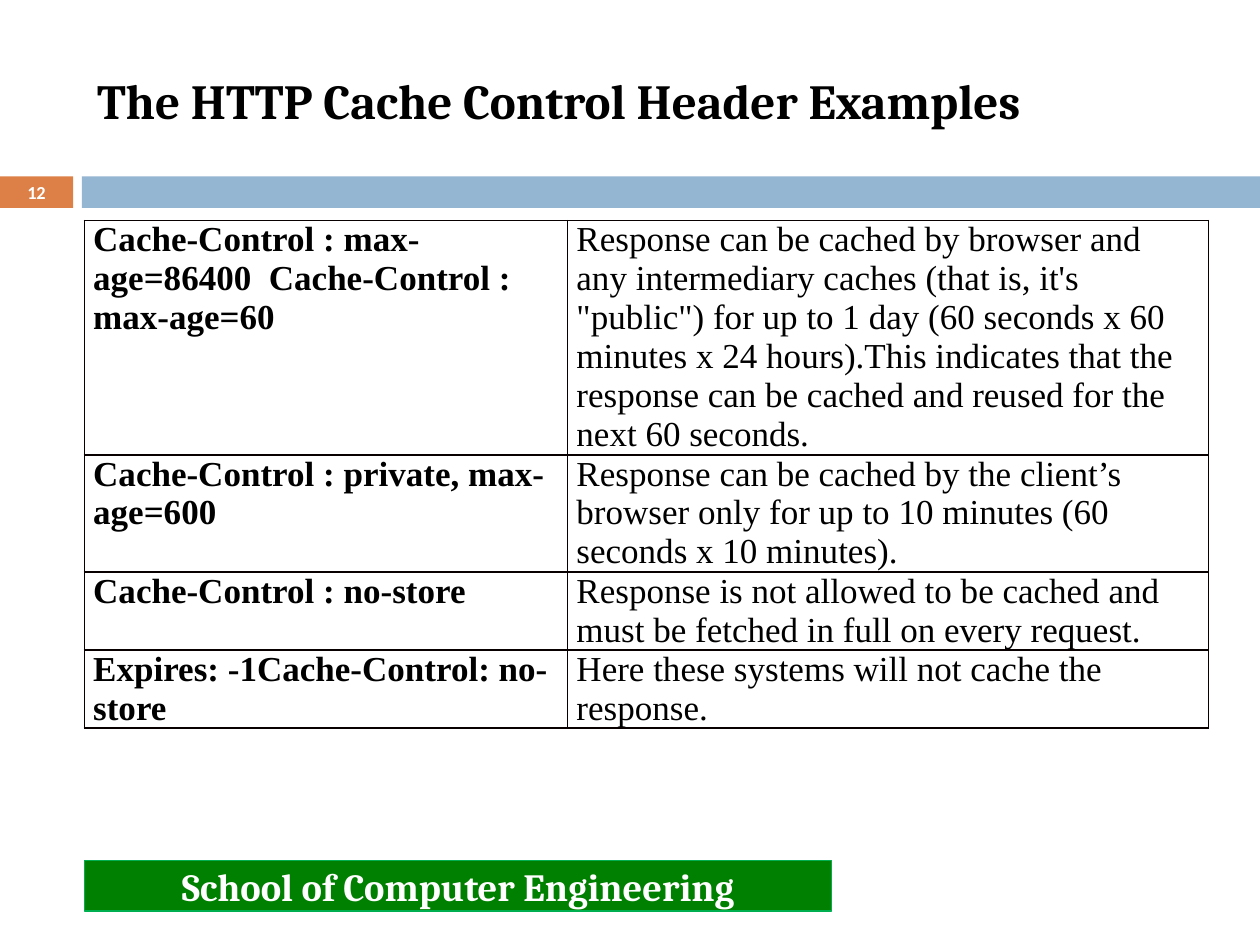
from dataclasses import dataclass

from lxml import etree
from pptx import Presentation
from pptx import util as u
from pptx.dml.color import RGBColor
from pptx.enum import shapes, text
from pptx.oxml import ns

TITLE = "The HTTP Cache Control Header Examples"
PAGE_NUMBER = "12"
FOOTER = "School of Computer Engineering"
ROWS = [
    ("Cache-Control : max-age=86400  Cache-Control : max-age=60",
     "Response can be cached by browser and any intermediary caches (that is, it's "
     "\"public\") for up to 1 day (60 seconds x 60 minutes x 24 hours).This indicates "
     "that the response can be cached and reused for the next 60 seconds.", 6),
    ("Cache-Control : private, max-age=600",
     "Response can be cached by the client’s browser only for up to 10 minutes "
     "(60 seconds x 10 minutes).", 3),
    ("Cache-Control : no-store",
     "Response is not allowed to be cached and must be fetched in full on every request.", 2),
    ("Expires: -1Cache-Control: no-store",
     "Here these systems will not cache the response.", 2),
]


@dataclass(frozen=True)
class Theme:
    black: str = "000000"
    white: str = "FFFFFF"
    orange: str = "DD8047"
    blue: str = "94B6D2"
    green: str = "008000"
    green_line: str = "00B050"
    border: str = "080000"
    heading: str = "Cambria"
    body: str = "Times New Roman"
    number: str = "Calibri"
    title_size: float = 28
    footer_size: float = 22
    body_size: float = 20
    number_size: float = 10.5


THEME = Theme()
WIDTH, HEIGHT = 10, 7.5
LEFT, CONTENT_WIDTH = 0.67, 8.92
BAND_TOP, BAND_HEIGHT = 1.4, 0.25
TAG_WIDTH, BAND_LEFT = 0.58, 0.65
COLUMN_SHARES = (0.43, 0.57)
TABLE_TOP, LINE_HEIGHT = 1.75, 0.31
TITLE_BOX = (LEFT, 0.25, CONTENT_WIDTH, 1.08)
FOOTER_BOX = (LEFT, 6.83, 5.93, 0.4)


def set_values(target, values):
    for name, value in values.items():
        setattr(target, name, value)


def write(frame, content, font, size, color, align=text.PP_ALIGN.LEFT, bold=True):
    set_values(frame, {"text": content, "word_wrap": True})
    paragraph = frame.paragraphs[0]
    paragraph.alignment = align
    run_font = paragraph.runs[0].font
    set_values(run_font, {"name": font, "size": u.Pt(size), "bold": bold})
    run_font.color.rgb = RGBColor.from_string(color)


def add_bar(slide, box, fill, line=None):
    shape = slide.shapes.add_shape(shapes.MSO_SHAPE.RECTANGLE, *map(u.Inches, box))
    shape.shadow.inherit = False
    shape.fill.solid()
    shape.fill.fore_color.rgb = RGBColor.from_string(fill)
    if line:
        shape.line.color.rgb = RGBColor.from_string(line)
        shape.line.width = u.Pt(0.75)
    else:
        shape.line.fill.background()
    shape.text_frame.vertical_anchor = text.MSO_ANCHOR.MIDDLE
    return shape


def add_borders(cell):
    properties = cell._tc.get_or_add_tcPr()
    for index, side in enumerate(("a:lnL", "a:lnR", "a:lnT", "a:lnB")):
        line = etree.Element(ns.qn(side), w=str(u.Pt(1)))
        fill = etree.SubElement(line, ns.qn("a:solidFill"))
        etree.SubElement(fill, ns.qn("a:srgbClr"), val=THEME.border)
        properties.insert(index, line)


def add_title(slide):
    title = slide.shapes.title
    set_values(title, dict(zip(("left", "top", "width", "height"), map(u.Inches, TITLE_BOX))))
    title.text_frame.vertical_anchor = text.MSO_ANCHOR.MIDDLE
    write(title.text_frame, TITLE, THEME.heading, THEME.title_size, THEME.black)


def add_header_table(slide):
    height = LINE_HEIGHT * sum(lines for _, _, lines in ROWS)
    box = (LEFT, TABLE_TOP, CONTENT_WIDTH, height)
    table = slide.shapes.add_table(
        len(ROWS), len(COLUMN_SHARES), *map(u.Inches, box)).table
    set_values(table, {"first_row": False, "horz_banding": False})
    for column, share in zip(table.columns, COLUMN_SHARES):
        column.width = u.Inches(CONTENT_WIDTH * share)
    margins = {"margin_left": u.Inches(0.07), "margin_right": u.Inches(0.07),
               "margin_top": 0, "margin_bottom": 0}
    for row, (header, meaning, lines) in zip(table.rows, ROWS):
        row.height = u.Inches(LINE_HEIGHT * lines)
        for index, (cell, content) in enumerate(zip(row.cells, (header, meaning))):
            set_values(cell, margins)
            cell.fill.background()
            add_borders(cell)
            write(cell.text_frame, content, THEME.body, THEME.body_size,
                  THEME.black, bold=index == 0)


def main():
    presentation = Presentation()
    set_values(presentation, {"slide_width": u.Inches(WIDTH), "slide_height": u.Inches(HEIGHT)})
    slide = presentation.slides.add_slide(presentation.slide_layouts[5])
    center = text.PP_ALIGN.CENTER
    tag = add_bar(slide, (0, BAND_TOP, TAG_WIDTH, BAND_HEIGHT), THEME.orange)
    write(tag.text_frame, PAGE_NUMBER, THEME.number, THEME.number_size, THEME.white, center)
    add_bar(slide, (BAND_LEFT, BAND_TOP, WIDTH - BAND_LEFT, BAND_HEIGHT), THEME.blue)
    add_title(slide)
    footer = add_bar(slide, FOOTER_BOX, THEME.green, THEME.green_line)
    write(footer.text_frame, FOOTER, THEME.heading, THEME.footer_size, THEME.white, center)
    add_header_table(slide)
    presentation.save("out.pptx")


if __name__ == "__main__":
    main()
